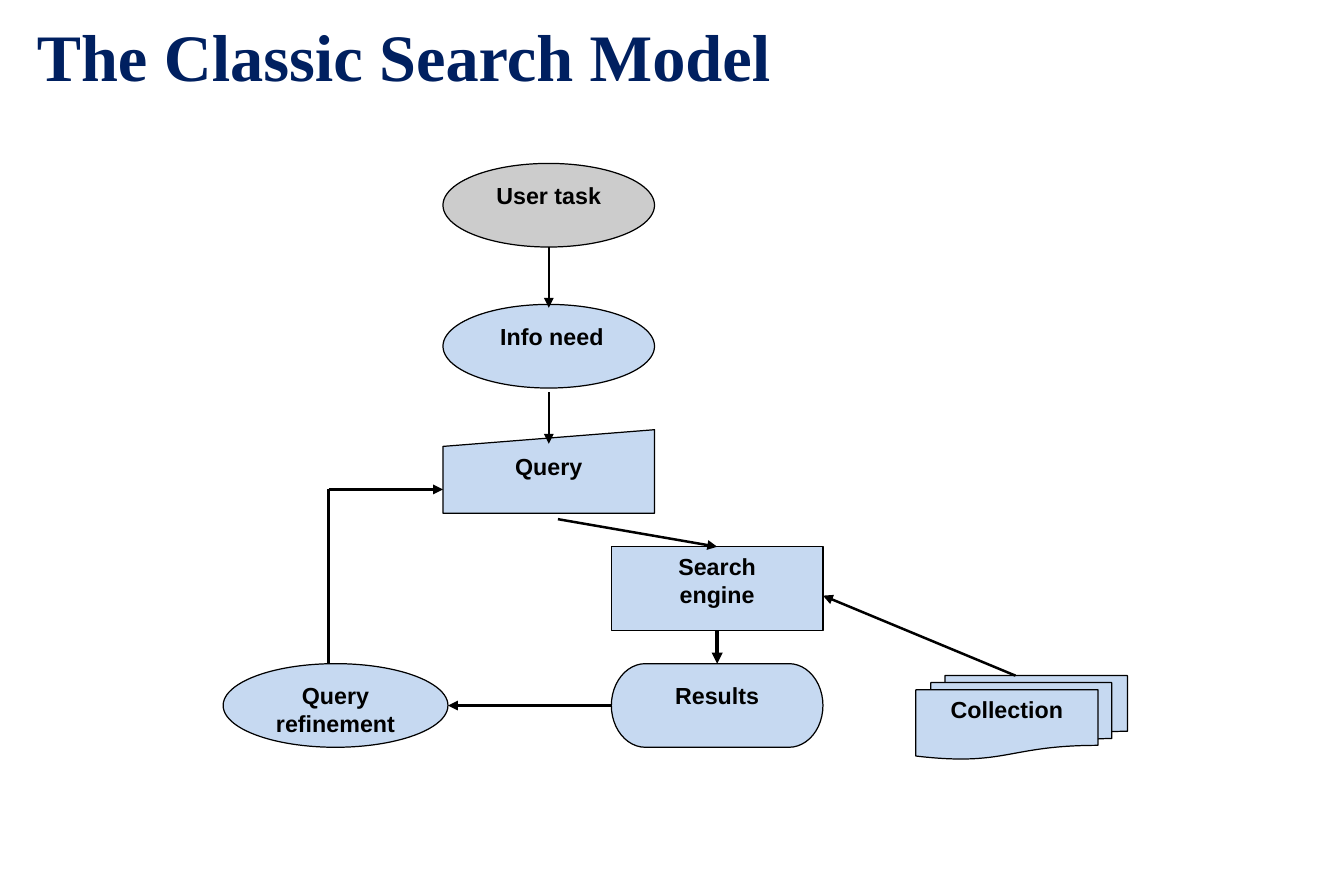
from lxml import etree
from pptx import Presentation
from pptx.dml.color import RGBColor
from pptx.enum.shapes import MSO_CONNECTOR, MSO_SHAPE
from pptx.enum.text import MSO_ANCHOR, PP_ALIGN
from pptx.oxml.ns import qn
from pptx.util import Pt

ELLIPSE = MSO_SHAPE.OVAL
MANUAL_INPUT = MSO_SHAPE.FLOWCHART_MANUAL_INPUT
PROCESS = MSO_SHAPE.FLOWCHART_PROCESS
TERMINATOR = MSO_SHAPE.FLOWCHART_TERMINATOR
MULTIDOCUMENT = MSO_SHAPE.FLOWCHART_MULTIDOCUMENT
STRAIGHT = MSO_CONNECTOR.STRAIGHT
LEFT, CENTER = PP_ALIGN.LEFT, PP_ALIGN.CENTER
TOP, MIDDLE = MSO_ANCHOR.TOP, MSO_ANCHOR.MIDDLE

NAVY, BLACK, GRAY, BLUE = "002060", "000000", "CCCCCC", "C6D9F1"
NODE_W, NODE_H = 127.5, 50.4
TOP_SITE, LEFT_SITE, BOTTOM_SITE = 0, 1, 2


def color(hex_string):
    return RGBColor.from_string(hex_string)


def write(frame, text, font="Arial", size=14, fill=BLACK, align=CENTER, anchor=TOP):
    frame.word_wrap = True
    frame.vertical_anchor = anchor
    frame.text = text
    for paragraph in frame.paragraphs:
        paragraph.alignment = align
        for run in paragraph.runs:
            run.font.name = font
            run.font.size = Pt(size)
            run.font.bold = True
            run.font.color.rgb = color(fill)


def add_node(slide, kind, text, left, top, width=NODE_W, fill=BLUE):
    node = slide.shapes.add_shape(kind, Pt(left), Pt(top), Pt(width), Pt(NODE_H))
    node.shadow.inherit = False
    node.fill.solid()
    node.fill.fore_color.rgb = color(fill)
    node.line.color.rgb = color(BLACK)
    node.line.width = Pt(0.75)
    write(node.text_frame, text)
    return node


def add_link(slide, start, end, width=1.5, arrow=True):
    link = slide.shapes.add_connector(STRAIGHT, *(Pt(v) for v in start + end))
    link.line.color.rgb = color(BLACK)
    link.line.width = Pt(width)
    properties = link._element.spPr
    if arrow:
        etree.SubElement(properties.find(qn("a:ln")), qn("a:tailEnd"), type="triangle")
    etree.SubElement(properties, qn("a:effectLst"))
    return link


def add_title(slide, left, top, width, height):
    title = slide.shapes.title
    title.left, title.top, title.width, title.height = (
        Pt(v) for v in (left, top, width, height))
    write(title.text_frame, "The Classic Search Model", font="Times New Roman",
          size=40, fill=NAVY, align=LEFT, anchor=MIDDLE)


def add_search_model(slide, left, top):
    # Columns and rows of the flow
    query_x, engine_x, collection_x = left + 132.5, left + 234, left + 417.5
    need_y, query_y, engine_y, results_y = (top + v for v in (85, 160.5, 231, 301.5))
    collection_y = results_y + 7.2
    refinement_w = 135.5
    query_mid, engine_mid = query_x + NODE_W / 2, engine_x + NODE_W / 2
    results_mid = results_y + NODE_H / 2

    # Steps
    add_node(slide, MULTIDOCUMENT, "Collection", collection_x, collection_y)
    add_node(slide, ELLIPSE, "User task", query_x, top, fill=GRAY)
    info_need = add_node(slide, ELLIPSE, "Info need", query_x, need_y)
    info_need.text_frame.margin_left = Pt(11)
    add_node(slide, MANUAL_INPUT, "Query", query_x, query_y)
    results = add_node(slide, TERMINATOR, "Results", engine_x, results_y)
    engine = add_node(slide, PROCESS, "Search\nengine", engine_x, engine_y)
    add_node(slide, ELLIPSE, "Query\vrefinement", left, results_y, width=refinement_w)

    # Task to query
    add_link(slide, (query_mid, top + NODE_H), (query_mid, need_y + 2))
    add_link(slide, (query_mid, need_y + NODE_H + 2.5), (query_mid, query_y + 8.5))

    # Query and collection to search engine
    query_to_engine = add_link(slide, (query_mid + 5.5, query_y + NODE_H + 3.5),
                               (engine_mid, engine_y))
    query_to_engine.end_connect(engine, TOP_SITE)
    add_link(slide, (collection_x + 60, collection_y),
             (engine_x + NODE_W, engine_y + 29.5))

    # Search engine to results to refinement
    engine_to_results = add_link(slide, (engine_mid, engine_y + NODE_H),
                                 (engine_mid, results_y), width=2.25)
    engine_to_results.begin_connect(engine, BOTTOM_SITE)
    engine_to_results.end_connect(results, TOP_SITE)
    results_to_refinement = add_link(slide, (engine_x, results_mid),
                                     (left + refinement_w, results_mid))
    results_to_refinement.begin_connect(results, LEFT_SITE)

    # Refinement back to query
    corner = (left + 63.5, query_y + 36)
    add_link(slide, (corner[0], results_y), corner, arrow=False)
    add_link(slide, corner, (query_x, corner[1]))


def main():
    presentation = Presentation()
    presentation.slide_width, presentation.slide_height = Pt(810), Pt(540)
    slide = presentation.slides.add_slide(presentation.slide_layouts[5])
    add_title(slide, 15, 12.25, 646.5, 41.75)
    add_search_model(slide, 134.5, 98.5)
    presentation.save("out.pptx")


if __name__ == "__main__":
    main()
